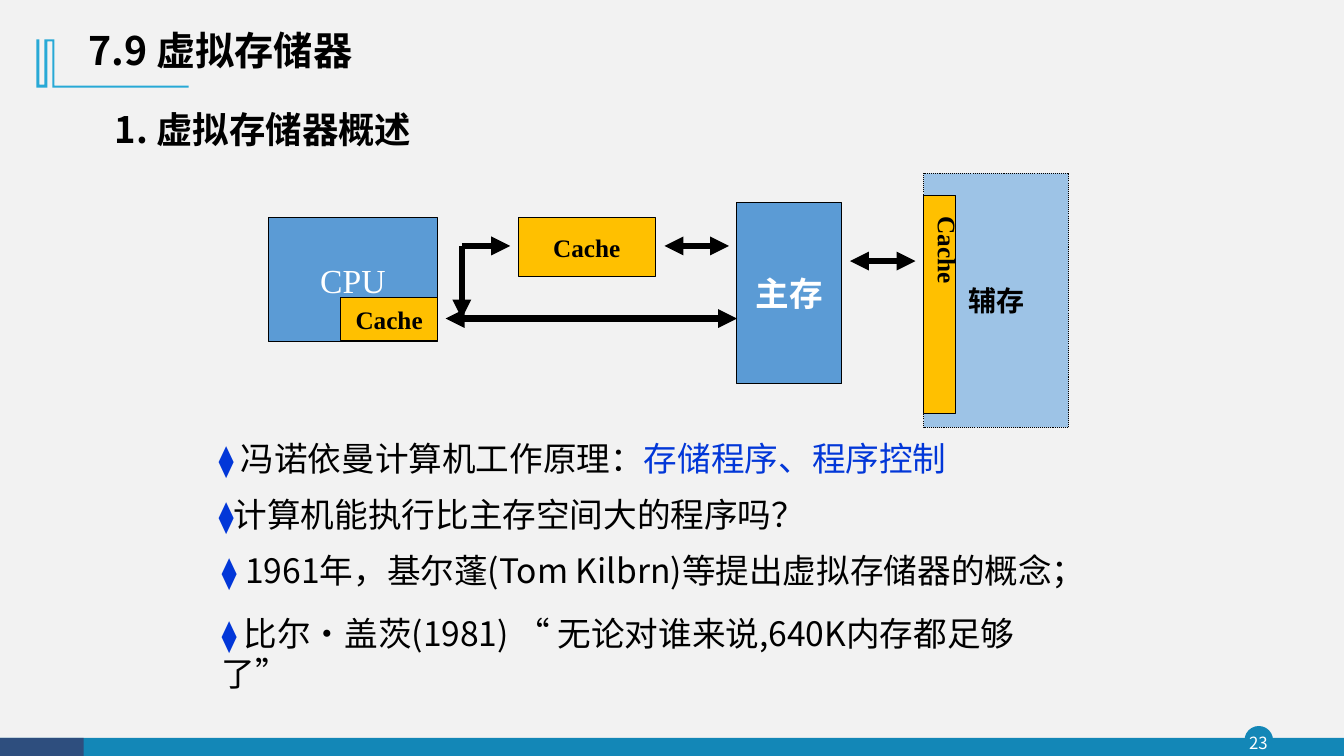
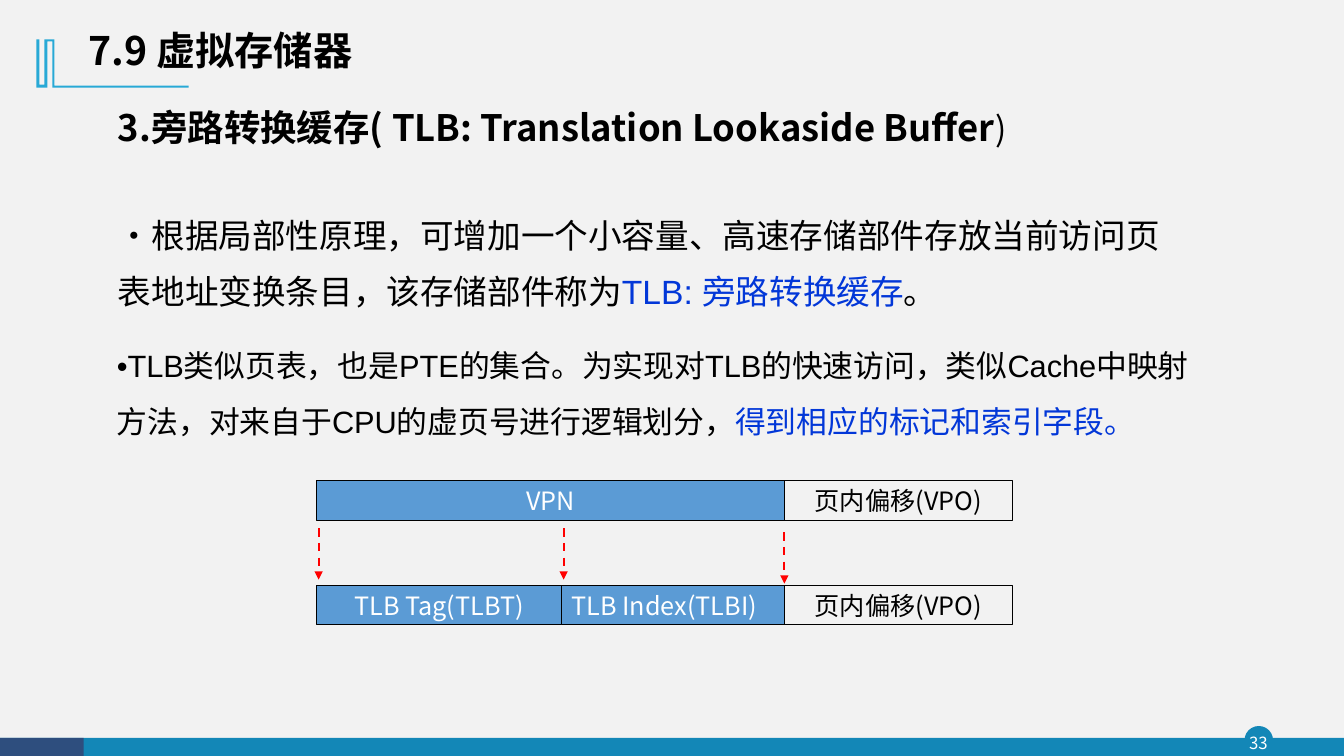
from lxml import etree
from pptx import Presentation
from pptx.dml.color import RGBColor
from pptx.enum.dml import MSO_LINE
from pptx.enum.shapes import MSO_CONNECTOR, MSO_SHAPE
from pptx.enum.text import MSO_ANCHOR, MSO_AUTO_SIZE, PP_ALIGN
from pptx.oxml.ns import qn
from pptx.util import Inches, Pt

BLACK, WHITE, RED = "000000", "FFFFFF", "FF0000"
BACKGROUND, TEAL, NAVY, CYAN = "F2F2F2", "1387B7", "2E4E7E", "28A9D6"
BLUE, PALE_BLUE, AMBER, ACCENT = "5B9BD5", "9DC3E6", "FFC000", "0237D8"
SANS, HEADING, ARIAL, SERIF = "Noto Sans CJK SC", "Noto Sans CJK JP", "Arial", "Times New Roman"
EMBLEM = [(54, 39), (54, 85), (187, 85), (187, 87), (52, 87), (52, 41), (47, 41), (47, 87),
          (36, 87), (36, 39), (39, 39), (39, 84), (44, 84), (44, 39)]


def rgb(color):
    return RGBColor.from_string(color)


def add_run(p, text, size, font=SANS, color=BLACK, bold=False):
    r = p.add_run()
    r.text = text
    r.font.size = Pt(size)
    r.font.name = font
    r.font.bold = bold
    r.font.color.rgb = rgb(color)
    east_asian = etree.SubElement(r.font._element, qn("a:ea"))
    east_asian.set("typeface", HEADING if font == HEADING else SANS)


def style(sp, fill=None, line=None, width=0.75, dash=None):
    sp.shadow.inherit = False
    if fill:
        sp.fill.solid()
        sp.fill.fore_color.rgb = rgb(fill)
    else:
        sp.fill.background()
    if line:
        sp.line.color.rgb = rgb(line)
        sp.line.width = Pt(width)
        if dash:
            sp.line.dash_style = dash
    else:
        sp.line.fill.background()


def add_box(s, at, fill=None, line=BLACK, shape=MSO_SHAPE.RECTANGLE, width=0.75, dash=None):
    sp = s.shapes.add_shape(shape, *map(Inches, at))
    style(sp, fill, line, width, dash)
    return sp


def add_label_box(s, at, fill, text, size, font=SANS, color=BLACK, bold=False,
                  align=PP_ALIGN.CENTER, dash=None):
    tf = add_box(s, at, fill, dash=dash).text_frame
    tf.word_wrap = False
    tf.vertical_anchor = MSO_ANCHOR.MIDDLE
    p = tf.paragraphs[0]
    p.alignment = align
    add_run(p, text, size, font, color, bold)


def add_text(s, at, runs, spacing=None):
    tf = s.shapes.add_textbox(*map(Inches, at)).text_frame
    tf.word_wrap = True
    tf.auto_size = MSO_AUTO_SIZE.SHAPE_TO_FIT_TEXT
    p = tf.paragraphs[0]
    p.line_spacing = spacing
    for run in runs:
        add_run(p, *run)
    return tf


def add_arrow(s, start, end, color=BLACK, width=4.5, both=False, dash=None):
    c = s.shapes.add_connector(MSO_CONNECTOR.STRAIGHT, *map(Inches, start + end))
    c.line.color.rgb = rgb(color)
    c.line.width = Pt(width)
    if dash:
        c.line.dash_style = dash
    ln = c.line._get_or_add_ln()
    for tag in ("a:headEnd", "a:tailEnd") if both else ("a:tailEnd",):
        etree.SubElement(ln, qn(tag)).set("type", "triangle")
    etree.SubElement(c._element.spPr, qn("a:effectLst"))


def add_page(prs, number):
    s = prs.slides.add_slide(prs.slide_layouts[5])
    s.background.fill.solid()
    s.background.fill.fore_color.rgb = rgb(BACKGROUND)
    add_box(s, (12.35, 7.21, 0.27, 0.27), TEAL, TEAL, MSO_SHAPE.OVAL, 1)
    add_box(s, (0, 7.32, 13.33, 0.19), TEAL, None)
    add_box(s, (0, 7.32, 0.83, 0.19), NAVY, None)

    tf = s.shapes.add_textbox(*map(Inches, (12.32, 7.21, 0.32, 0.31))).text_frame
    tf.margin_left = tf.margin_right = tf.margin_top = tf.margin_bottom = 0
    tf.word_wrap = True
    tf.vertical_anchor = MSO_ANCHOR.MIDDLE
    tf.paragraphs[0].alignment = PP_ALIGN.CENTER
    add_run(tf.paragraphs[0], number, 12, color=WHITE)

    outline = s.shapes.build_freeform(*EMBLEM[0], scale=Inches(0.01))
    outline.add_line_segments(EMBLEM[1:], close=True)
    style(outline.convert_to_shape(), CYAN)

    title = s.shapes.title
    title.left, title.top, title.width, title.height = map(Inches, (0.78, 0.18, 5.56, 0.68))
    tf = title.text_frame
    tf.auto_size = MSO_AUTO_SIZE.NONE
    tf.vertical_anchor = MSO_ANCHOR.MIDDLE
    p = tf.paragraphs[0]
    p.alignment = PP_ALIGN.LEFT
    p.line_spacing = 0.9
    add_run(p, "7.9 虚拟存储器", 28, HEADING, bold=True)
    return s


def add_memory_diagram(s):
    for at, fill, text, size, color, bold, dash in [
        ((2.66, 2.16, 1.68, 1.23), BLUE, "CPU\u00a0\u00a0".rstrip(), 24, WHITE, False, None),
        ((3.38, 2.95, 0.96, 0.43), AMBER, "Cache", 18, BLACK, True, None),
        ((5.14, 2.16, 1.36, 0.58), AMBER, "Cache", 18, BLACK, True, None),
        ((7.31, 2.01, 1.04, 1.8), BLUE, "主存", 24, WHITE, True, None),
        ((9.16, 1.72, 1.44, 2.52), PALE_BLUE, "辅存", 20, BLACK, True, MSO_LINE.ROUND_DOT),
    ]:
        add_label_box(s, at, fill, text, size, SERIF, color, bold, dash=dash)
    for start, end, both in [
        ((6.59, 2.44), (7.23, 2.44), True),
        ((4.58, 2.44), (5.06, 2.44), False),
        ((4.42, 3.16), (7.31, 3.16), True),
        ((4.58, 2.44), (4.58, 3.16), False),
        ((8.43, 2.59), (9.08, 2.59), True),
    ]:
        add_arrow(s, start, end, both=both)
    add_box(s, (9.16, 1.94, 0.32, 2.16), AMBER)
    tf = add_text(s, (8.91, 2.05, 0.69, 2.09), [("Cache", 18, SERIF, BLACK, True)])
    tf.auto_size = MSO_AUTO_SIZE.NONE
    tf.margin_top = Inches(0.1)
    tf._txBody.bodyPr.set("vert", "eaVert")


def add_overview(prs):
    s = add_page(prs, "23")
    add_text(s, (1.04, 1.01, 5, 0.54), [("1. 虚拟存储器概述", 26, HEADING, BLACK, True)])
    add_memory_diagram(s)
    for at, mark, runs in [
        ((2.07, 4.3, 8.78, 0.5), "⧫ ", [("冯诺依曼计算机工作原理：", 24, ARIAL),
                                        ("存储程序、程序控制", 24, ARIAL, ACCENT)]),
        ((2.07, 4.85, 9.91, 0.5), "⧫", [("计算机能执行比主存空间大的程序吗？", 24, ARIAL)]),
        ((2.1, 5.41, 9.91, 0.5), "⧫ ", [("1961年，基尔蓬(Tom Kilbrn)等提出虚拟存储器的概念；", 24)]),
        ((2.1, 6.03, 8.4, 0.5), "⧫ ", [("比尔·盖茨(1981) “ 无论对谁来说,640K内存都足够了”", 24)]),
    ]:
        add_text(s, at, [(mark, 22, ARIAL, ACCENT)] + runs)


def add_address_fields(s):
    left, tag_end, index_end, right = 3.14, 5.57, 7.78, 10.04
    for top, start, end, fill, text, color, align in [
        (4.77, left, index_end, BLUE, "VPN", WHITE, PP_ALIGN.CENTER),
        (4.77, index_end, right, None, "页内偏移(VPO)", BLACK, PP_ALIGN.CENTER),
        (5.81, left, tag_end, BLUE, "TLB Tag(TLBT)", WHITE, PP_ALIGN.CENTER),
        (5.81, tag_end, index_end, BLUE, "TLB Index(TLBI)", WHITE, PP_ALIGN.LEFT),
        (5.81, index_end, right, None, "页内偏移(VPO)", BLACK, PP_ALIGN.CENTER),
    ]:
        add_label_box(s, (start, top, end - start, 0.39), fill, text, 18, color=color, align=align)
    for x, top in [(3.16, 5.24), (5.59, 5.24), (7.78, 5.28)]:
        add_arrow(s, (x, top), (x, top + 0.51), RED, 1.5, dash=MSO_LINE.DASH)


def add_tlb(prs):
    s = add_page(prs, "33")
    add_text(s, (1.07, 0.99, 10.28, 0.54), [
        ("3.旁路转换缓存( TLB: Translation Lookaside Buffer", 26, HEADING, BLACK, True),
        (")", 24),
    ])
    add_text(s, (1.07, 1.92, 10.82, 1.18), [
        ("•根据局部性原理，可增加一个小容量、高速存储部件存放当前访问页表地址变换条目，该存储部件称为", 24, ARIAL),
        ("TLB: 旁路转换缓存", 24, ARIAL, ACCENT),
        ("。", 24, ARIAL),
    ], 1.4)
    add_text(s, (1.06, 3.21, 11.08, 1.21), [
        ("•TLB类似页表，也是PTE的集合。为实现对TLB的快速访问，类似Cache中映射方法，"
         "对来自于CPU的虚页号进行逻辑划分，", 22, ARIAL),
        ("得到相应的标记和索引字段。", 22, ARIAL, ACCENT),
    ], 1.5)
    add_address_fields(s)


def main():
    prs = Presentation()
    prs.slide_width, prs.slide_height = Inches(13.33), Inches(7.5)
    add_overview(prs)
    add_tlb(prs)
    prs.save("out.pptx")


if __name__ == "__main__":
    main()
